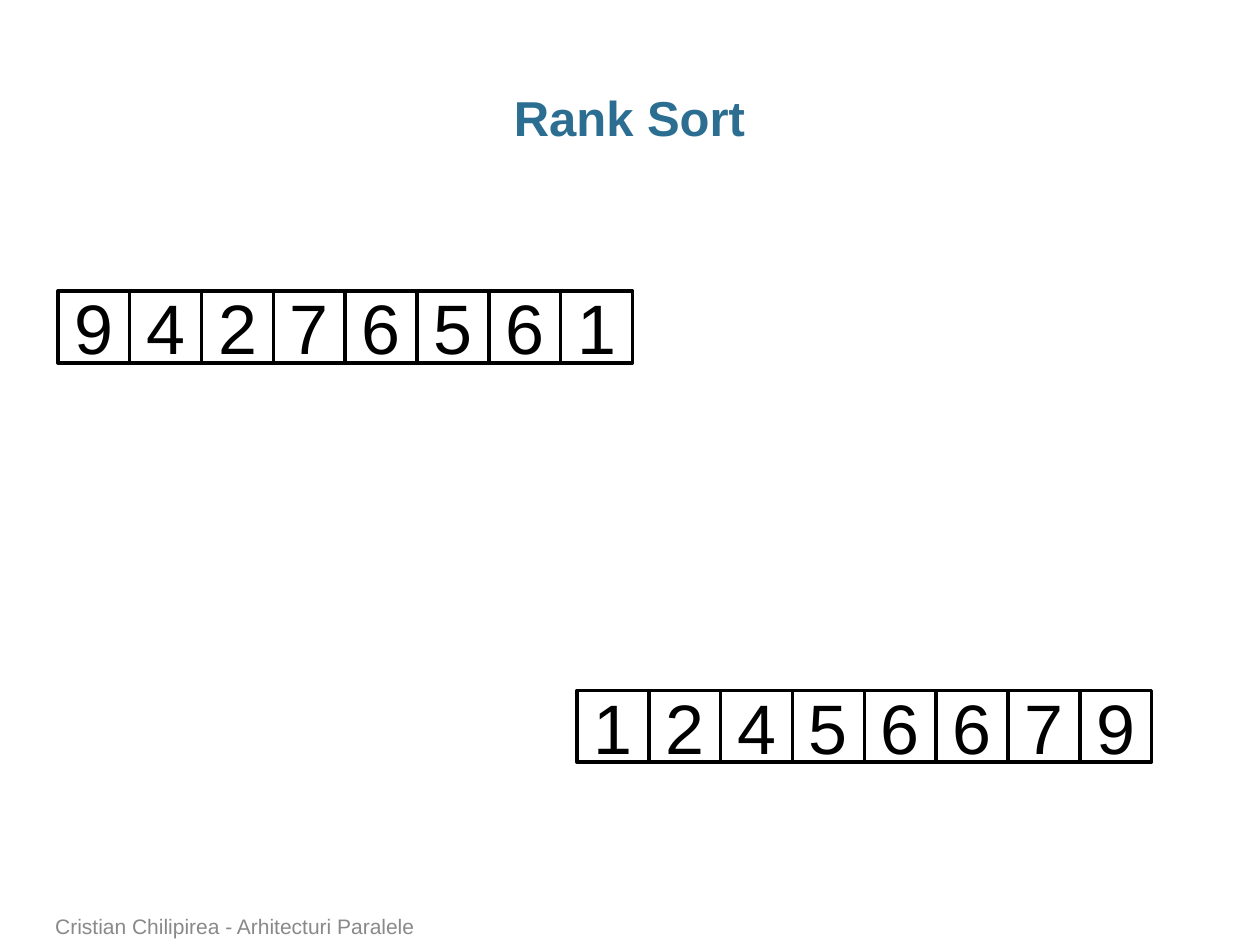
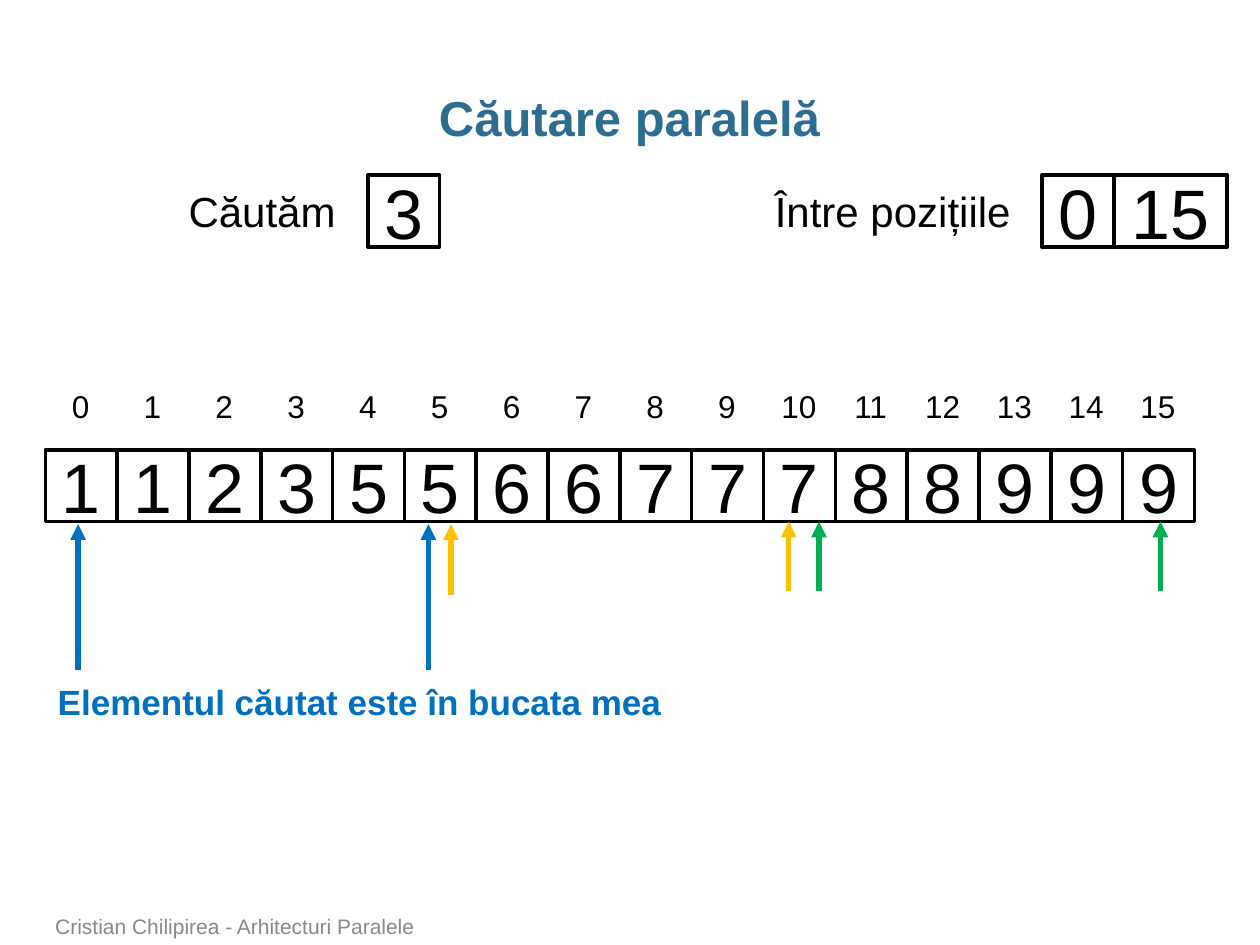
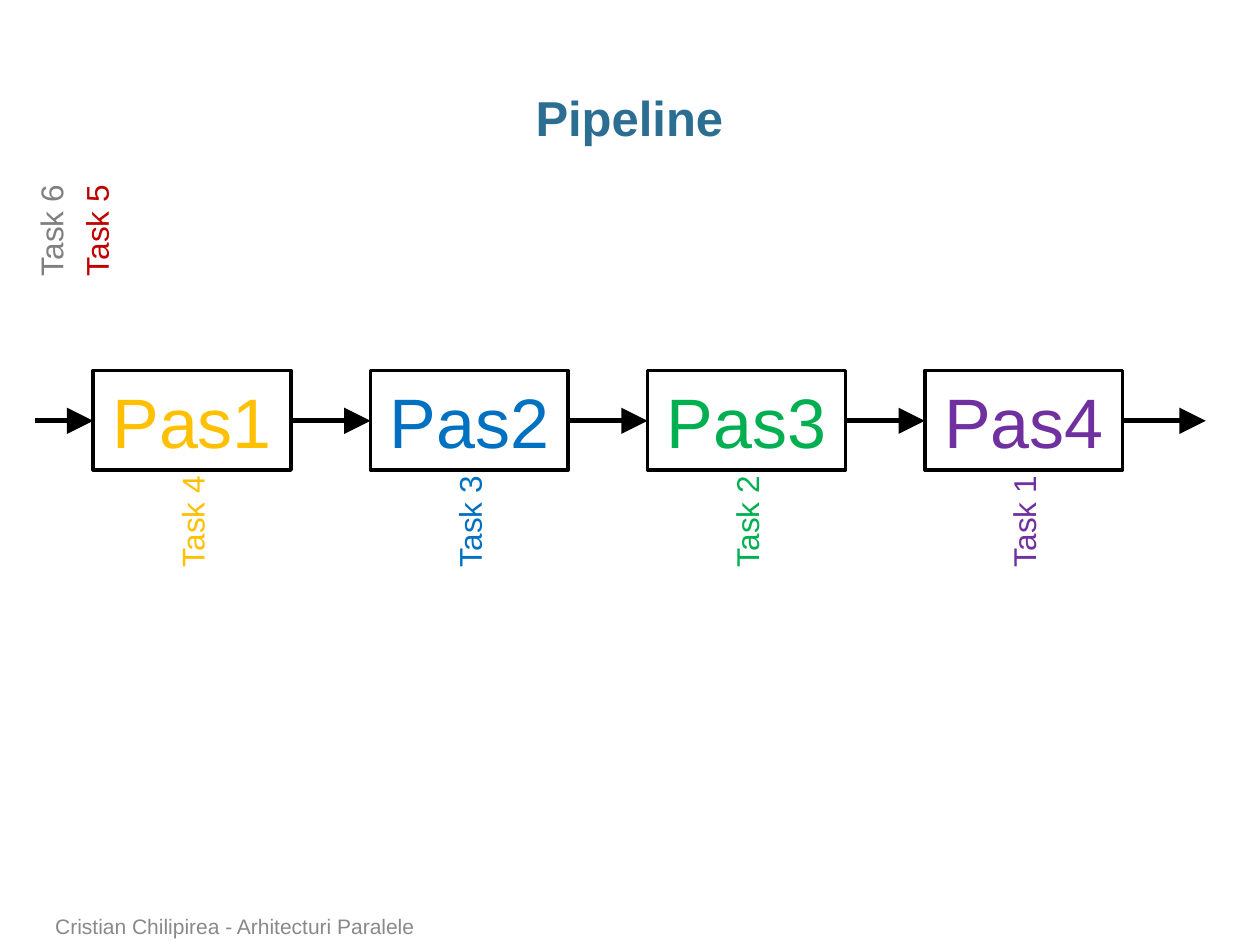
from dataclasses import dataclass
from typing import Any

from lxml import etree
from pptx import Presentation
from pptx import util as u
from pptx.dml.color import RGBColor
from pptx.enum import shapes, text
from pptx.oxml import ns

PX = 9144  # 100 px to the inch
SLIDE_W, SLIDE_H = 1000, 750
CELL = 57
FONT = "Arial"
FOOTER = "Cristian Chilipirea - Arhitecturi Paralele"

BLACK = RGBColor(0x00, 0x00, 0x00)
TEAL = RGBColor(0x2C, 0x6D, 0x92)
FOOTER_GRAY = RGBColor(0x89, 0x89, 0x89)
GRAY = RGBColor(0x80, 0x80, 0x80)
BLUE = RGBColor(0x00, 0x70, 0xC0)
AMBER = RGBColor(0xFF, 0xC0, 0x00)
GREEN = RGBColor(0x00, 0xB0, 0x50)
PURPLE = RGBColor(0x70, 0x30, 0xA0)
RED = RGBColor(0xC0, 0x00, 0x00)

LEFT, CENTER = text.PP_ALIGN.LEFT, text.PP_ALIGN.CENTER
TITLE_FRAME = {
    "margin_left": 0, "margin_right": 0, "word_wrap": True,
    "vertical_anchor": text.MSO_ANCHOR.TOP,
    "auto_size": text.MSO_AUTO_SIZE.NONE,
}
FOOTER_FRAME = {"word_wrap": True, "vertical_anchor": text.MSO_ANCHOR.BOTTOM}
BOX_FRAME = {"word_wrap": True, "vertical_anchor": text.MSO_ANCHOR.MIDDLE}
LABEL_FRAME = {"word_wrap": False, "auto_size": text.MSO_AUTO_SIZE.SHAPE_TO_FIT_TEXT}


@dataclass(frozen=True)
class Area:
    left: int
    top: int
    width: int
    height: int

    def emu(self) -> tuple[int, ...]:
        return tuple(n * PX for n in (self.left, self.top, self.width, self.height))


@dataclass(frozen=True)
class Label:
    words: str
    area: Area
    size: int = 18
    color: RGBColor = BLACK
    bold: bool = False
    align: Any = CENTER
    rotation: int = 0


@dataclass(frozen=True)
class Arrow:
    start: tuple[int, int]
    end: tuple[int, int]
    color: RGBColor = BLACK
    head: str = "med"


def apply(target: Any, values: dict[str, Any]) -> None:
    for name, value in values.items():
        setattr(target, name, value)


def write(shape: Any, label: Label, frame_format: dict[str, Any]) -> None:
    frame = shape.text_frame
    frame.text = label.words
    apply(frame, frame_format)
    paragraph = frame.paragraphs[0]
    paragraph.alignment = label.align
    font = paragraph.runs[0].font
    apply(font, {"name": FONT, "size": u.Pt(label.size), "bold": label.bold})
    font.color.rgb = label.color


def add_label(slide: Any, label: Label, frame_format: dict[str, Any] = LABEL_FRAME) -> None:
    shape = slide.shapes.add_textbox(*label.area.emu())
    shape.rotation = label.rotation
    write(shape, label, frame_format)


def add_box(slide: Any, words: str, area: Area, color: RGBColor = BLACK) -> None:
    """Draw an unfilled, outlined rectangle with large centred text."""
    box = slide.shapes.add_shape(shapes.MSO_SHAPE.RECTANGLE, *area.emu())
    box.shadow.inherit = False
    box.fill.background()
    box.line.color.rgb = BLACK
    box.line.width = u.Pt(2)
    write(box, Label(words, area, 40, color), BOX_FRAME)


def add_array(slide: Any, values: str, left: int, top: int) -> None:
    for i, value in enumerate(values):
        add_box(slide, value, Area(left + i * CELL, top, CELL, CELL))


def add_arrow(slide: Any, arrow: Arrow) -> None:
    ends = (n * PX for n in (*arrow.start, *arrow.end))
    connector = slide.shapes.add_connector(shapes.MSO_CONNECTOR.STRAIGHT, *ends)
    connector.line.color.rgb = arrow.color
    connector.line.width = u.Pt(3)
    etree.SubElement(connector.line._get_or_add_ln(), ns.qn("a:tailEnd"),
                     type="triangle", w=arrow.head, len=arrow.head)
    etree.SubElement(connector._element.spPr, ns.qn("a:effectLst"))


def new_slide(deck: Any, heading: str) -> Any:
    """Add a slide with the shared title and footer."""
    slide = deck.slides.add_slide(deck.slide_layouts[5])
    area = Area(34, 68, 931, 50)
    title = slide.shapes.title
    apply(title, dict(zip(("left", "top", "width", "height"), area.emu())))
    write(title, Label(heading, area, 28, TEAL, bold=True), TITLE_FRAME)
    title.text_frame.paragraphs[0].line_spacing = 0.95
    footer = Label(FOOTER, Area(34, 722, 737, 28), 12, FOOTER_GRAY, align=LEFT)
    add_label(slide, footer, FOOTER_FRAME)
    return slide


def rank_sort(deck: Any) -> None:
    slide = new_slide(deck, "Rank Sort")
    add_array(slide, "94276561", 46, 231)
    add_array(slide, "12456679", 458, 548)


def parallel_search(deck: Any) -> None:
    slide = new_slide(deck, "Căutare paralelă")
    left, top = 36, 357
    values = "1123556677788999"
    add_array(slide, values, left, top)
    for i in range(len(values)):
        width = 34 if i < 10 else 48
        offset = i * CELL + (CELL - width) // 2
        add_label(slide, Label(str(i), Area(left + offset, 302, width, 40)))

    add_box(slide, "3", Area(292, 139, CELL, CELL))
    add_box(slide, "0", Area(827, 139, CELL, CELL))
    add_box(slide, "15", Area(884, 139, 90, CELL))
    add_label(slide, Label("Căutăm", Area(139, 142, 138, 50), 24))
    add_label(slide, Label("Între pozițiile", Area(604, 142, 209, 50), 24))

    for x, tail, tip, color in (
        (62, 532, 416, BLUE), (340, 532, 416, BLUE),
        (358, 472, 416, AMBER), (626, 469, 414, AMBER),
        (650, 469, 414, GREEN), (921, 469, 414, GREEN),
    ):
        add_arrow(slide, Arrow((x, tail), (x, tip), color))
    add_label(slide, Label("Elementul căutat este în bucata mea",
                           Area(36, 535, 503, 44), 20, BLUE, bold=True, align=LEFT))


def pipeline(deck: Any) -> None:
    slide = new_slide(deck, "Pipeline")
    first, pitch, width, flow_y = 74, 220, 157, 334
    task_width, task_height = 93, 40
    colors = (AMBER, BLUE, GREEN, PURPLE)
    tasks = []
    flow_start = 28
    for i, color in enumerate(colors):
        left = first + i * pitch
        add_box(slide, f"Pas{i + 1}", Area(left, 294, width, 79), color)
        add_arrow(slide, Arrow((flow_start, flow_y), (left, flow_y), head="lg"))
        flow_start = left + width
        task_left = left + (width - task_width) // 2
        tasks.append((f"Task {len(colors) - i}", task_left, 394, color))
    add_arrow(slide, Arrow((flow_start, flow_y), (957, flow_y), head="lg"))

    tasks += [("Task 5", 30, 163, RED), ("Task 6", -6, 163, GRAY)]
    for words, left, top, color in tasks:
        area = Area(left, top, task_width, task_height)
        add_label(slide, Label(words, area, color=color, rotation=270))


def main() -> None:
    deck = Presentation()
    deck.slide_width, deck.slide_height = SLIDE_W * PX, SLIDE_H * PX
    for build in (rank_sort, parallel_search, pipeline):
        build(deck)
    deck.save("out.pptx")


if __name__ == "__main__":
    main()
